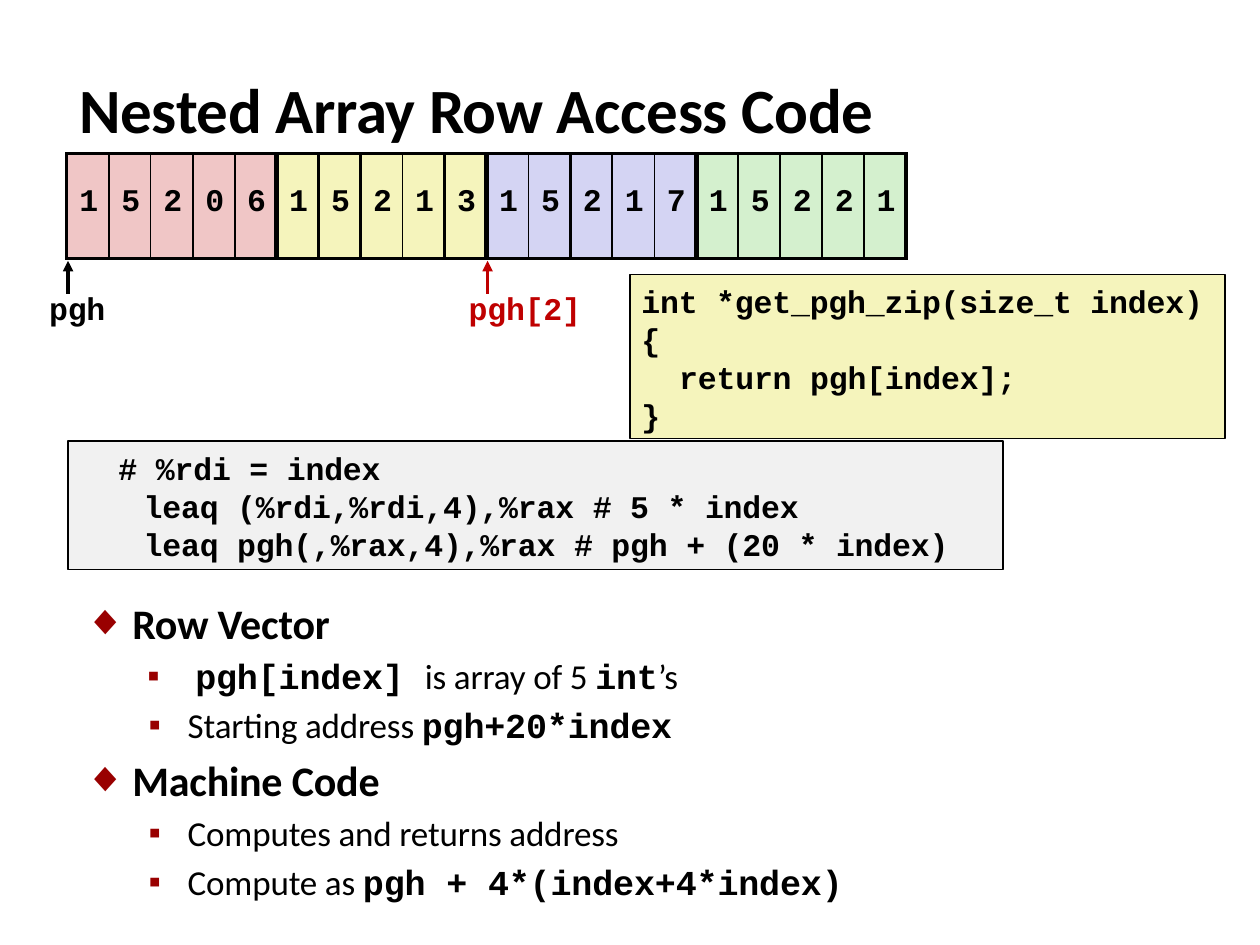
"""Build the slide on nested array row access code."""
from dataclasses import dataclass

from lxml import etree
from pptx import Presentation
from pptx.dml.color import RGBColor
from pptx.enum import shapes, text
from pptx.oxml import ns
from pptx.util import Inches, Pt

SANS, MONO = "Calibri", "Courier New"
BLACK, RED, BULLET_RED = "000000", "BF0000", "990000"
CELL_W, CELL_H = 1 / 3, 0.83
THIN_EDGES = {2, 8, 11, 14, 17}


@dataclass
class Group:
    digits: str
    fill: str


@dataclass
class Pointer:
    label: str
    x: float
    color: str


@dataclass
class CodeBox:
    box: tuple
    fill: str
    inset: float
    lines: list


@dataclass
class Bullet:
    level: int
    runs: list
    before: float = 4
    margin: float = 0.83
    hang: float = 0.31


GROUPS = [Group("15206", "F0C6C6"), Group("15213", "F5F4BC"),
          Group("15217", "D4D4F3"), Group("15221", "D4F0CE")]

POINTERS = [Pointer("pgh", 0.54, BLACK), Pointer("pgh[2]", 3.87, RED)]

CODE_BOXES = [
    CodeBox((5, 2.18, 4.72, 1.3), "F5F4BC", 0.09, [
        (0, "int *get_pgh_zip(size_t index)"), (0, "{"),
        (0.3, "return pgh[index];"), (0, "}")]),
    CodeBox((0.54, 3.5, 7.42, 1.02), "F1F1F1", 0.12, [
        (0.28, "# %rdi = index"),
        (0.48, "leaq (%rdi,%rdi,4),%rax # 5 * index"),
        (0.48, "leaq pgh(,%rax,4),%rax # pgh + (20 * index)")]),
]

BULLETS = [
    Bullet(0, [("Row Vector", SANS)], 0, 0.39, 0.38),
    Bullet(1, [("pgh[index] ", MONO), ("is array of 5 ", SANS), ("int", MONO), ("’s", SANS)],
           margin=0.89, hang=0.38),
    Bullet(1, [("Starting address ", SANS), ("pgh+20*index", MONO)]),
    Bullet(0, [("Machine Code", SANS)], 4.8, 0.39, 0.38),
    Bullet(1, [("Computes and returns address", SANS)]),
    Bullet(1, [("Compute as ", SANS), ("pgh + 4*(index+4*index)", MONO)]),
]


def rgb(value: str) -> RGBColor:
    """Turn a hex string into a colour."""
    return RGBColor.from_string(value)


def child(parent, tag: str, **attrs):
    """Append an XML element to a parent."""
    return etree.SubElement(parent, ns.qn(tag), attrs)


def add_run(p, content: str, *, font=MONO, size=18, bold=True, color=BLACK, spc=-0.1) -> None:
    """Add one formatted run to a paragraph."""
    r = p.add_run()
    r.text = content
    r.font.name, r.font.size, r.font.bold = font, Pt(size), bold
    r.font.color.rgb = rgb(color)
    r.font._element.set("spc", str(round(spc * 100)))


def set_frame(tf, left=0.0, top=0.02, wrap=True) -> None:
    """Set the insets, wrapping and anchor of a text frame."""
    tf.margin_left, tf.margin_top = Inches(left), Inches(top)
    tf.margin_right = tf.margin_bottom = 0
    tf.word_wrap = wrap
    tf.auto_size = text.MSO_AUTO_SIZE.NONE
    tf.vertical_anchor = text.MSO_ANCHOR.TOP


def place(sp, left: float, top: float, width: float, height: float) -> None:
    """Move and size a shape."""
    sp.left, sp.top, sp.width, sp.height = map(Inches, (left, top, width, height))


def paragraph(tf, i: int):
    """Return the first paragraph or a new one."""
    return tf.paragraphs[0] if i == 0 else tf.add_paragraph()


def add_title(sp) -> None:
    """Fill the title placeholder."""
    place(sp, 0.62, 0.54, 6.6, 0.63)
    set_frame(sp.text_frame, 0.01)
    p = sp.text_frame.paragraphs[0]
    p.alignment = text.PP_ALIGN.LEFT
    add_run(p, "Nested Array Row Access Code", font=SANS, size=36, spc=-0.2)


def add_code(s, code: CodeBox) -> None:
    """Draw a filled box of code lines."""
    sp = s.shapes.add_shape(shapes.MSO_SHAPE.RECTANGLE, *map(Inches, code.box))
    sp.shadow.inherit = False
    sp.fill.solid()
    sp.fill.fore_color.rgb = rgb(code.fill)
    sp.line.color.rgb, sp.line.width = rgb(BLACK), Pt(1)
    set_frame(sp.text_frame, code.inset, 0.06)
    for i, (indent, line) in enumerate(code.lines):
        p = paragraph(sp.text_frame, i)
        p.alignment, p.line_spacing = text.PP_ALIGN.LEFT, Pt(21.7)
        p._p.get_or_add_pPr().set("marL", str(Inches(indent)))
        add_run(p, line)


def add_bullets(sp) -> None:
    """Fill the body placeholder with the list."""
    place(sp, 0.66, 4.74, 7, 2.41)
    set_frame(sp.text_frame, 0, 0)
    for i, b in enumerate(BULLETS):
        p = paragraph(sp.text_frame, i)
        p.level = b.level
        pr = p._p.get_or_add_pPr()
        pr.set("marL", str(Inches(b.margin)))
        pr.set("indent", str(-Inches(b.hang)))
        child(child(pr, "a:buClr"), "a:srgbClr", val=BULLET_RED)
        child(pr, "a:buChar", char="▪" if b.level else "◆")
        p.space_before = Pt(b.before)
        for content, font in b.runs:
            add_run(p, content, font=font, size=20 if b.level else 24,
                    bold=font == MONO or b.level == 0)


def add_pointer(s, ptr: Pointer) -> None:
    """Draw an upward arrow with its label below."""
    x = Inches(ptr.x)
    c = s.shapes.add_connector(shapes.MSO_CONNECTOR.STRAIGHT, x, Inches(2.33), x, Inches(2.07))
    c.line.color.rgb, c.line.width = rgb(ptr.color), Pt(2)
    child(c.line._get_or_add_ln(), "a:tailEnd", type="triangle")
    child(c._element.spPr, "a:effectLst")
    box = s.shapes.add_textbox(x - Inches(0.16), Inches(2.27), Inches(0.93), Inches(0.33))
    set_frame(box.text_frame, 0.01, wrap=False)
    add_run(box.text_frame.paragraphs[0], ptr.label, color=ptr.color)


def edge_width(edge: int, count: int) -> float:
    """Return the width of a vertical cell edge."""
    if edge in (0, count):
        return 2.25
    return 3 if edge % 5 == 0 else 1 if edge in THIN_EDGES else 1.5


def add_array(s) -> None:
    """Draw the array as a one-row table."""
    cells = [(d, g.fill) for g in GROUPS for d in g.digits]
    n = len(cells)
    tbl = s.shapes.add_table(1, n, Inches(0.53), Inches(1.22),
                             Inches(n * CELL_W), Inches(CELL_H)).table
    tbl.first_row = tbl.horz_banding = False
    tbl.rows[0].height = Inches(CELL_H)
    for i, (digit, fill) in enumerate(cells):
        tbl.columns[i].width = Inches(CELL_W)
        cell = tbl.cell(0, i)
        cell.margin_left, cell.margin_bottom = Inches(0.1), Inches(0.04)
        cell.margin_right = cell.margin_top = 0
        cell.vertical_anchor = text.MSO_ANCHOR.MIDDLE
        widths = {"L": edge_width(i, n), "R": edge_width(i + 1, n), "T": 2.25, "B": 2.25}
        for side, width in widths.items():
            ln = child(cell._tc.get_or_add_tcPr(), f"a:ln{side}", w=str(Pt(width)))
            child(child(ln, "a:solidFill"), "a:srgbClr", val=BLACK)
        cell.fill.solid()
        cell.fill.fore_color.rgb = rgb(fill)
        add_run(cell.text_frame.paragraphs[0], digit, spc=0)


def main() -> None:
    """Build and save the slide."""
    prs = Presentation()
    prs.slide_width, prs.slide_height = Inches(10), Inches(7.5)
    s = prs.slides.add_slide(prs.slide_layouts[1])
    add_title(s.shapes.title)
    add_bullets(s.placeholders[1])
    for code in CODE_BOXES:
        add_code(s, code)
    add_array(s)
    for ptr in POINTERS:
        add_pointer(s, ptr)
    prs.save("out.pptx")


if __name__ == "__main__":
    main()
